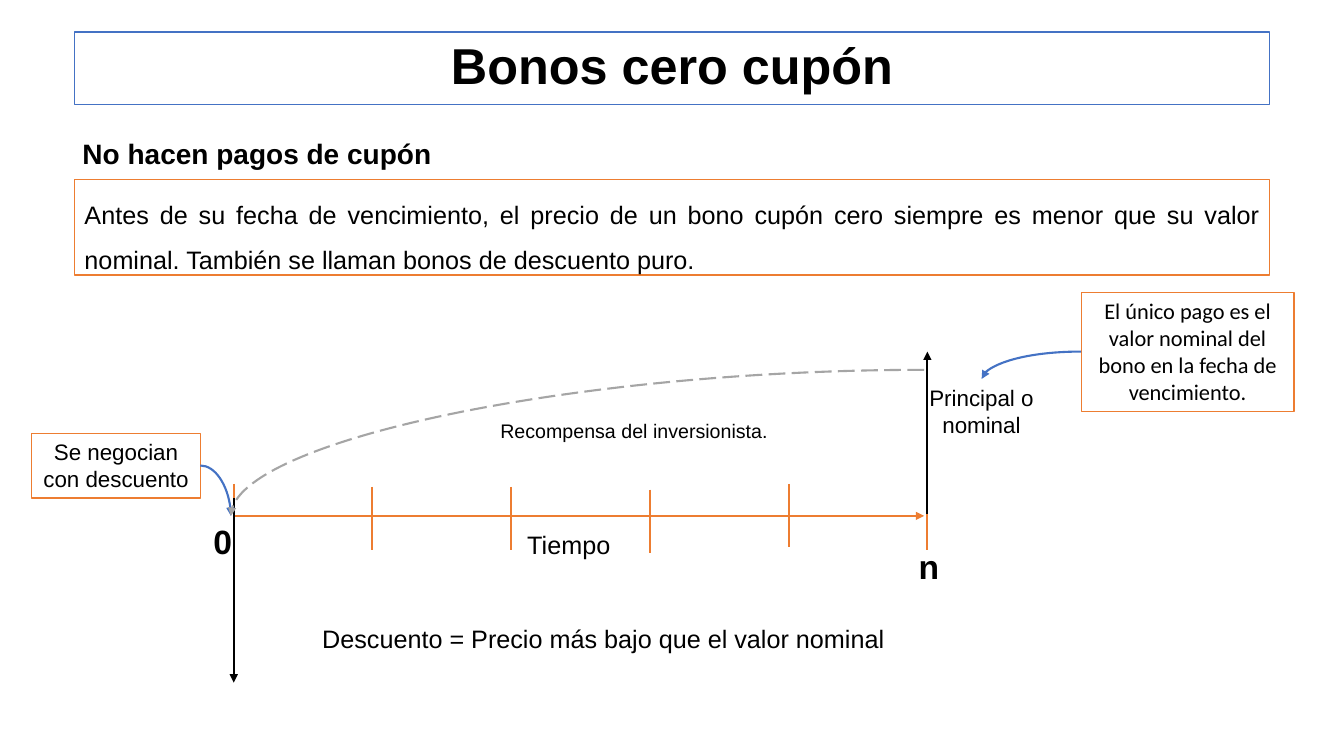
from pptx import Presentation, util as u
from pptx.dml.color import RGBColor
from pptx.enum import dml, shapes, text
from lxml import etree


class Theme:
    black = RGBColor(0x00, 0x00, 0x00)
    white = RGBColor(0xFF, 0xFF, 0xFF)
    orange = RGBColor(0xED, 0x7D, 0x31)
    blue = RGBColor(0x44, 0x72, 0xC4)
    grey = RGBColor(0xA5, 0xA5, 0xA5)
    font, note_font = "Arial", "Calibri"
    title, mark, heading, body, note, small = 36, 24, 20, 18, 16, 14
    border, stroke = 1, 1.5


A = "{http://schemas.openxmlformats.org/drawingml/2006/main}"
LEFT, CENTER, JUSTIFY = text.PP_ALIGN.LEFT, text.PP_ALIGN.CENTER, text.PP_ALIGN.JUSTIFY

prs = Presentation()
prs.slide_width, prs.slide_height = u.Cm(33.87), u.Cm(19.05)
s = prs.slides.add_slide(prs.slide_layouts[6])


def add_text(words, box, size, align=CENTER, border=None, bold=False, spacing=1.0,
             font=Theme.font, anchor=text.MSO_ANCHOR.TOP):
    lengths = [u.Cm(v) for v in box]
    if border is None:
        sp = s.shapes.add_textbox(*lengths)
    else:
        sp = s.shapes.add_shape(shapes.MSO_SHAPE.RECTANGLE, *lengths)
        sp.shadow.inherit = False
        sp.fill.solid()
        sp.fill.fore_color.rgb = Theme.white
        sp.line.color.rgb = border
        sp.line.width = u.Pt(Theme.border)
    tf = sp.text_frame
    tf.word_wrap = True
    tf.vertical_anchor = anchor
    p = tf.paragraphs[0]
    p.alignment = align
    p.line_spacing = spacing
    r = p.add_run()
    r.text = words
    r.font.name = font
    r.font.size = u.Pt(size)
    r.font.bold = bold
    r.font.color.rgb = Theme.black


def add_line(start, end, color, arrow=True, curved=False, dash=None):
    kind = shapes.MSO_CONNECTOR.CURVE if curved else shapes.MSO_CONNECTOR.STRAIGHT
    cn = s.shapes.add_connector(kind, *[u.Cm(v) for v in start + end])
    cn.line.color.rgb = color
    cn.line.width = u.Pt(Theme.stroke)
    if dash:
        cn.line.dash_style = dash
    props = cn._element.spPr
    if curved:
        props.find(A + "prstGeom").set("prst", "curvedConnector2")
    if arrow:
        etree.SubElement(props.find(A + "ln"), A + "tailEnd", type="triangle")
    etree.SubElement(props, A + "effectLst")


add_text("Bonos cero cupón", (1.88, 0.81, 30.12, 1.83), Theme.title, border=Theme.blue,
         bold=True, spacing=0.9, anchor=text.MSO_ANCHOR.MIDDLE)
add_text("No hacen pagos de cupón", (1.83, 2.9, 11.81, 1.6), Theme.heading, LEFT,
         bold=True, spacing=1.5)
add_text("Antes de su fecha de vencimiento, el precio de un bono cupón cero siempre es menor "
         "que su valor nominal. También se llaman bonos de descuento puro.",
         (1.88, 4.52, 30.12, 2.41), Theme.body, JUSTIFY, border=Theme.orange, spacing=1.5)
add_text("El único pago es el valor nominal del bono en la fecha de vencimiento.",
         (27.25, 7.37, 5.36, 3), Theme.note, border=Theme.orange, font=Theme.note_font)
add_text("Se negocian con descuento", (0.79, 10.92, 4.27, 1.63), Theme.note,
         border=Theme.orange)

axis_start, axis_end, axis_y = 5.89, 23.37, 13
tick_tops = [12.19, 12.27, 12.27, 12.34, 12.19, 12.27]
tick_gap = (axis_end - axis_start) / (len(tick_tops) - 1)
add_line((axis_start, axis_y), (23.29, axis_y), Theme.orange)
for i, top in enumerate(tick_tops):
    x = axis_start + i * tick_gap
    add_line((x, top), (x, top + 1.6), Theme.orange, arrow=False)

add_text("0", (5.13, 13, 1.4, 1.27), Theme.mark, LEFT, bold=True)
add_text("n", (22.71, 13.64, 1.4, 1.27), Theme.mark, bold=True)
add_text("Tiempo", (12.01, 13.21, 4.65, 1.02), Theme.body)
add_text("Principal o nominal", (22.4, 9.55, 4.67, 1.63), Theme.note)
add_text("Recompensa del inversionista.", (11.66, 10.13, 8.64, 1.04), Theme.small, spacing=1.5)
add_text("Descuento = Precio más bajo que el valor nominal", (7.87, 15.57, 14.81, 1.02),
         Theme.body, LEFT)

add_line((axis_start, 12.55), (axis_start, 17.2), Theme.black)
add_line((axis_end, 12.95), (axis_end, 8.86), Theme.black)
add_line((27.25, 8.86), (24.74, 9.55), Theme.blue, curved=True)
add_line((5.05, 11.73), (5.82, axis_y), Theme.blue, curved=True)
add_line((23.29, 9.32), (5.82, axis_y), Theme.grey, curved=True,
         dash=dml.MSO_LINE.LONG_DASH)

prs.save("out.pptx")
